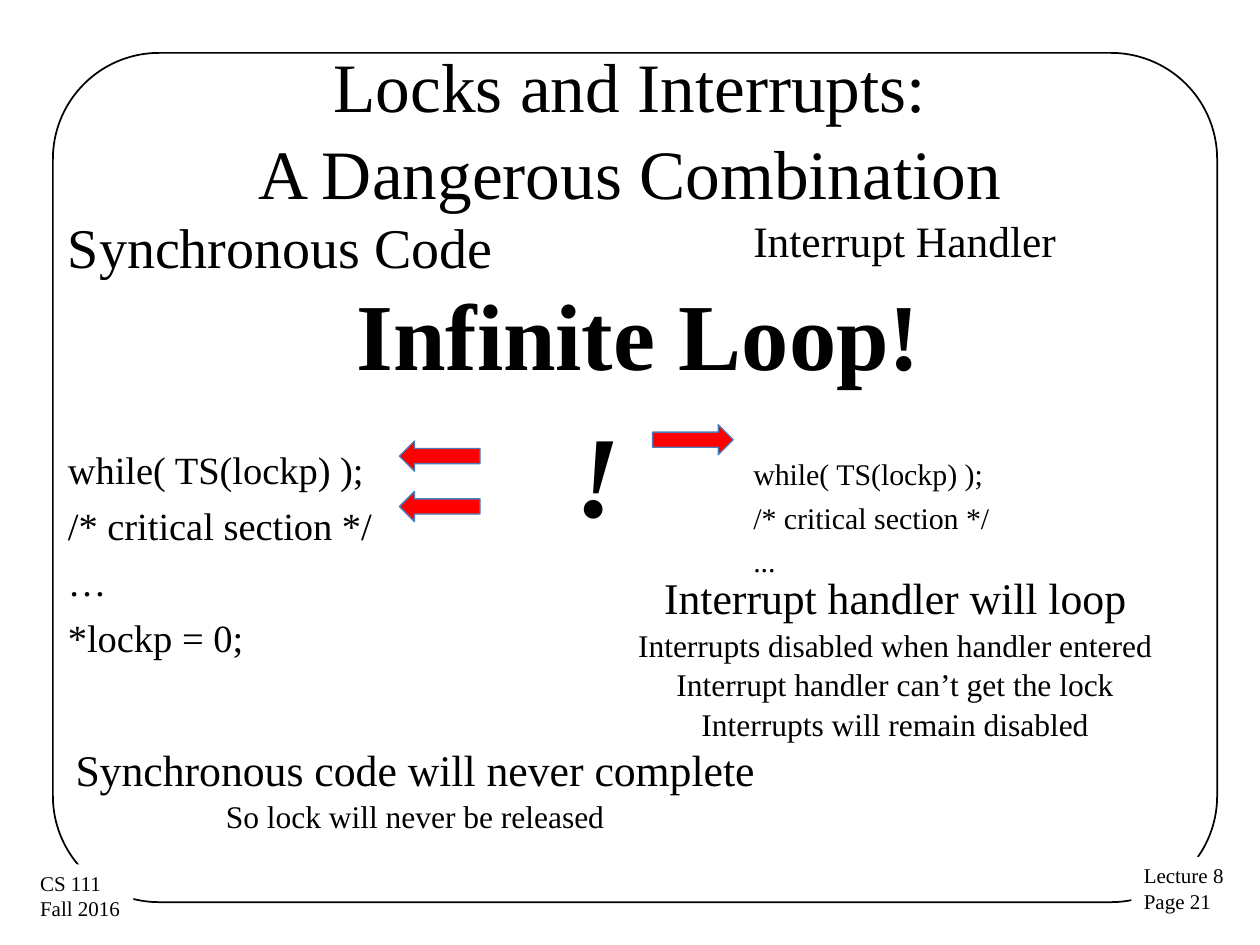
import pptx
import pptx.util
import pptx.dml.color
import pptx.enum.shapes
import pptx.enum.text

Inches, Pt = pptx.util.Inches, pptx.util.Pt
SHAPE = pptx.enum.shapes.MSO_SHAPE
ALIGN = pptx.enum.text.PP_ALIGN
ANCHOR = pptx.enum.text.MSO_ANCHOR

# Content: each line is (text, size, space before)
TITLE = "Locks and Interrupts:\vA Dangerous Combination"
LABELS = [
    ((8.98, 6.8, 0.84, 0.51), ["Lecture 8", "Page 21"]),
    ((0.22, 6.86, 0.84, 0.51), ["CS 111", "Fall 2016"]),
]
CODE = [
    ((0.44, 1.64, 4.01, 3.53), [
        ("Synchronous Code", 32, 4),
        ("while( TS(lockp) );", 22, 95),
        ("/* critical section */", 22, 5.5),
        ("…", 22, 5.5),
        ("*lockp = 0;", 22, 5.5)]),
    ((5.88, 1.65, 4.01, 2.69), [
        ("Interrupt Handler", 24.8, 3.5),
        ("while( TS(lockp) );", 17.1, 108.5),
        ("/* critical section */", 17.1, 4.2),
        ("...", 17.1, 4.2)]),
]
NOTES = [
    ((0.06, 5.93, 6.47, 0.72), [
        ("Synchronous code will never complete", 25, 0),
        ("So lock will never be released", 18, 0)]),
    ((4.25, 4.57, 5.71, 1.32), [
        ("Interrupt handler will loop", 25, 0),
        ("Interrupts disabled when handler entered", 18, 0),
        ("Interrupt handler can’t get the lock", 18, 0),
        ("Interrupts will remain disabled", 18, 0)]),
]
ARROWS = [(3.17, 3.5, False), (3.17, 3.9, False), (5.18, 3.37, True)]


def color(code):
    return pptx.dml.color.RGBColor.from_string(code)


def place(part, at):
    part.left, part.top, part.width, part.height = map(Inches, at)


def shape(kind, at, fill=None, line=None, width=1):
    part = slide.shapes.add_shape(kind, *map(Inches, at))
    part.shadow.inherit = False
    if fill:
        part.fill.solid()
        part.fill.fore_color.rgb = color(fill)
    else:
        part.fill.background()
    if line:
        part.line.color.rgb = color(line)
        part.line.width = Pt(width)
    else:
        part.line.fill.background()
    return part


def box(at):
    return slide.shapes.add_textbox(*map(Inches, at))


def write(part, lines, align=ALIGN.LEFT, anchor=ANCHOR.TOP, wrap=True,
          inset=None, space=None, after=0, bold=False, italic=False):
    frame = part.text_frame
    frame.word_wrap = wrap
    frame.vertical_anchor = anchor
    if inset is not None:
        frame.margin_left = frame.margin_right = Inches(inset)
        frame.margin_top = frame.margin_bottom = Inches(inset)
    for i, (text, size, before) in enumerate(lines):
        para = frame.add_paragraph() if i else frame.paragraphs[0]
        para.text = text
        para.alignment = align
        para.space_before, para.space_after = Pt(before), Pt(after)
        if space:
            para.line_spacing = space
        for run in para.runs:
            font = run.font
            font.name, font.size = "Times New Roman", Pt(size)
            font.bold, font.italic = bold, italic
            font.color.rgb = color("000000")


deck = pptx.Presentation()
deck.slide_width, deck.slide_height = Inches(10), Inches(7.5)
slide = deck.slides.add_slide(deck.slide_layouts[5])

# Frame and corner labels
frame = shape(SHAPE.ROUNDED_RECTANGLE, (0.42, 0.42, 9.24, 6.74), line="000000")
frame.adjustments[0] = 0.125
for at, lines in LABELS:
    write(shape(SHAPE.RECTANGLE, at, fill="FFFFFF"),
          [(text, 12, 0) for text in lines], wrap=False)

# Title
title = slide.shapes.title
place(title, (0.5, 0.38, 9, 1.25))
write(title, [(TITLE, 39.6, 0)], align=ALIGN.CENTER, anchor=ANCHOR.MIDDLE,
      space=1.04)

# Code columns and conclusions
for at, lines in CODE:
    write(box(at), lines)
for at, lines in NOTES:
    write(box(at), lines, align=ALIGN.CENTER, inset=0, space=0.93, after=2.5)

# Warning, arrows and exclamation mark
loop = shape(SHAPE.RECTANGLE, (2.73, 2.14, 4.73, 1.01), fill="FFFFFF")
write(loop, [("Infinite Loop!", 54, 0)], wrap=False, bold=True)
for left, top, flip in ARROWS:
    kind = SHAPE.RIGHT_ARROW if flip else SHAPE.LEFT_ARROW
    shape(kind, (left, top, 0.64, 0.24), "FF0000", "4B7EBC", 0.75)
write(box((4.31, 3.14, 0.87, 1.21)), [("!", 66, 0)], align=ALIGN.CENTER,
      wrap=False, bold=True, italic=True)

deck.save("out.pptx")
